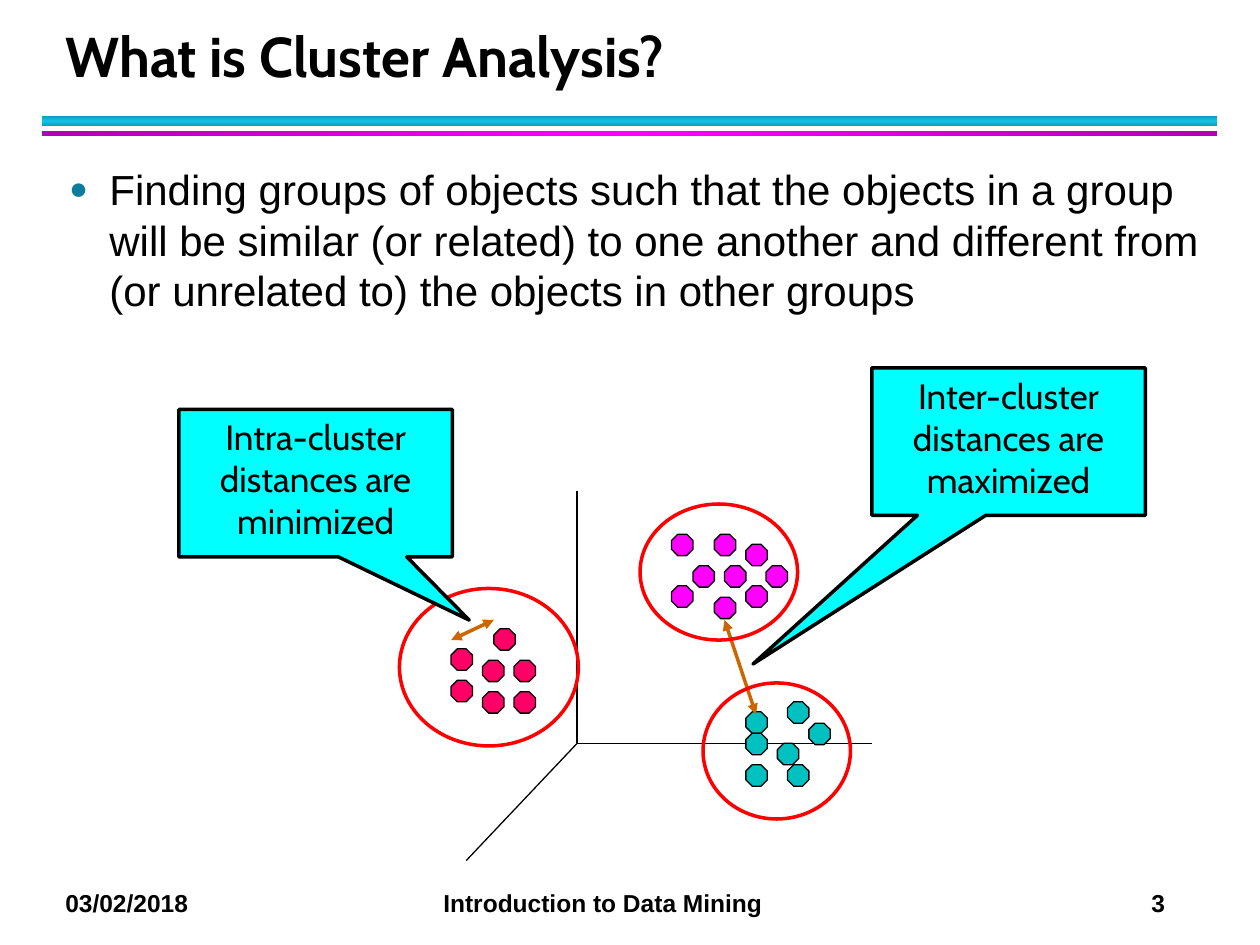
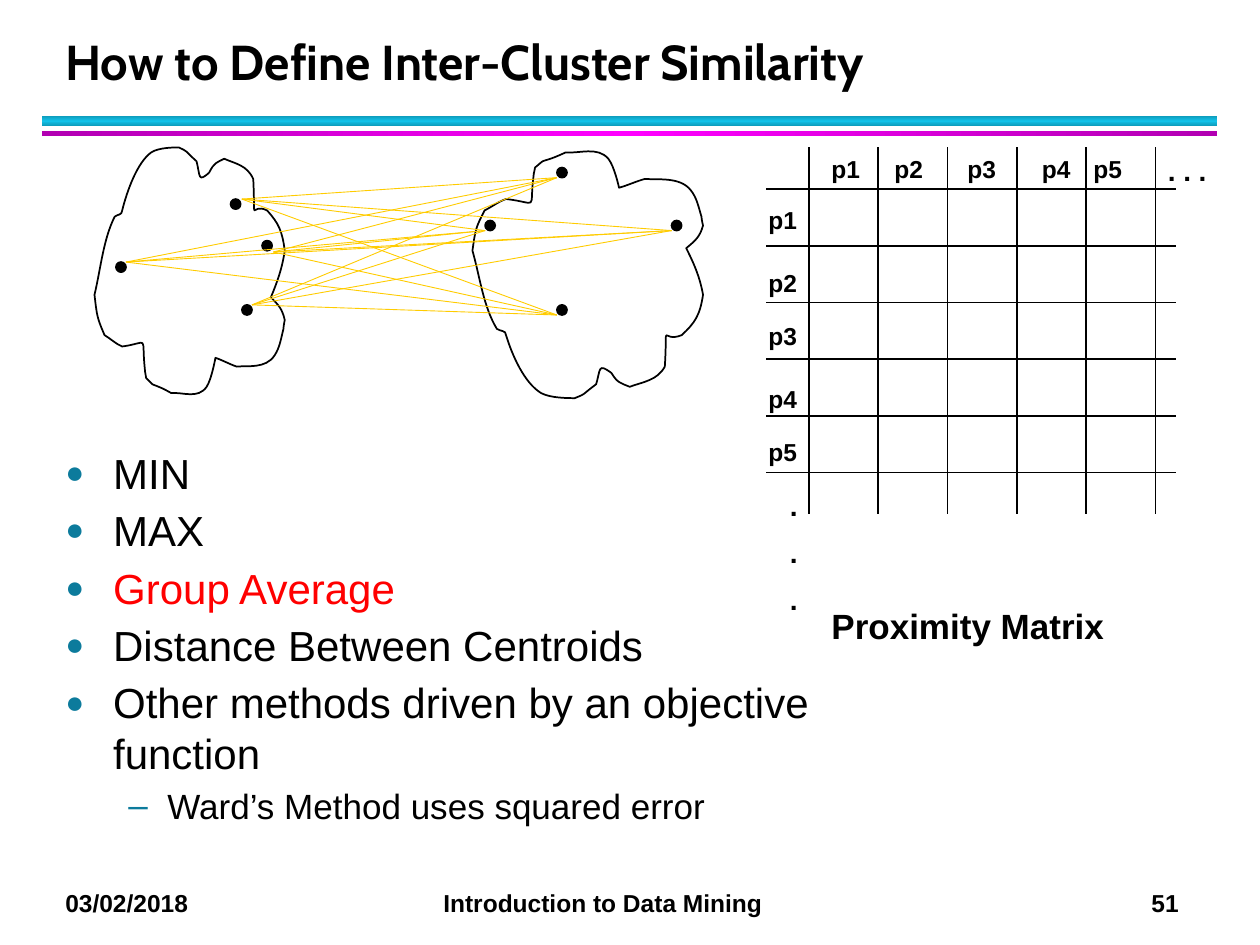
from copy import deepcopy
from itertools import product

from lxml import etree
from pptx import Presentation
from pptx import util as u
from pptx.dml.color import RGBColor
from pptx.enum import shapes, text
from pptx.oxml import ns

BLACK, RED, TEAL = "000000", "FF0000", "0C7B9C"
AQUA, ORANGE, YELLOW = "00FFFF", "CC6600", "FFCC00"
CYAN_BAND = ("0E9BBA", "12C2E9", "0E9BBA")
MAGENTA_BAND = ("B200B2", "FF00FF", "B200B2")
POINT_SIZE, DOT_SIZE = 0.17, 0.08

CLUSTERS = {
    "FF00FF": [(5.5, 4.49), (5.75, 4.49), (5.67, 4.24), (5.67, 4.74), (6.08, 4.49),
               (5.92, 4.32), (5.33, 4.24), (5.92, 4.65), (5.33, 4.65)],
    "FF0066": [(3.58, 5.15), (3.83, 5.24), (3.83, 5.49), (4.08, 5.24), (3.92, 4.99),
               (4.08, 5.49), (3.58, 5.4)],
    "00C0C0": [(5.92, 5.65), (6.42, 5.74), (6.17, 5.9), (5.92, 6.07), (6.25, 6.07),
               (5.92, 5.82), (6.25, 5.57)],
}
CLUSTER_RINGS = [(3.17, 4.67, 1.42, 1.25), (5.08, 4, 1.25, 1.08), (5.58, 5.42, 1.17, 1.08)]

CLOUD_CURVES = [
    ((0.82, 1.9), (0.8, 2.13), (0.75, 2.34)),
    ((0.77, 2.51), (0.77, 2.52), (0.83, 2.66)),
    ((0.88, 2.69), (0.92, 2.73), (0.97, 2.75)),
    ((1.19, 2.72), (1.12, 2.65), (1.15, 2.93)),
    ((1.15, 2.96), (1.16, 2.98), (1.16, 3)),
    ((1.23, 3.07), (1.19, 3.04), (1.26, 3.07)),
    ((1.29, 3.08), (1.36, 3.12), (1.36, 3.12)),
    ((1.45, 3.11), (1.57, 3.17), (1.64, 3.07)),
    ((1.68, 3.01), (1.71, 2.84), (1.71, 2.84)),
    ((1.77, 2.86), (1.82, 2.89), (1.88, 2.91)),
    ((1.96, 2.9), (2.11, 2.93), (2.18, 2.82)),
    ((2.22, 2.76), (2.23, 2.69), (2.25, 2.61)),
    ((2.25, 2.59), (2.26, 2.54), (2.26, 2.54)),
    ((2.24, 2.45), (2.21, 2.42), (2.15, 2.36)),
    ((2.2, 2.24), (2.24, 2.13), (2.26, 1.99)),
    ((2.24, 1.83), (2.21, 1.77), (2.12, 1.67)),
    ((1.98, 1.6), (2.03, 1.82), (2.01, 1.42)),
    ((1.96, 1.31), (1.87, 1.3), (1.78, 1.26)),
    ((1.72, 1.29), (1.7, 1.29), (1.66, 1.37)),
    ((1.57, 1.45), (1.59, 1.4), (1.56, 1.28)),
    ((1.45, 1.18), (1.5, 1.21), (1.42, 1.17)),
    ((1.38, 1.17), (1.26, 1.17), (1.2, 1.21)),
    ((1.09, 1.29), (1.01, 1.51), (0.97, 1.67)),
    ((0.97, 1.71), (0.93, 1.7), (0.91, 1.72)),
]
LEFT_DOTS = [(1.92, 2.42), (1.83, 1.58), (0.92, 2.08), (2.08, 1.91)]
RIGHT_DOTS = [(5.33, 1.75), (3.85, 1.75), (4.42, 2.42), (4.42, 1.33)]
LINK_STARTS = [(2, 2.42), (2.17, 2), (1, 2.08), (1.92, 1.58)]


def color(value):
    return RGBColor.from_string(value)


def mirrored(point):
    x, y = point
    return 3.75 + (x - 0.75) * 1.83 / 1.51, 4.33 - y


class Deck:
    """Holds the style of the deck and the slide being built."""

    def __init__(self):
        self.presentation = Presentation()
        self.presentation.slide_width = u.Inches(10)
        self.presentation.slide_height = u.Inches(7.5)
        self.slide = None

    def new_slide(self, title, number, title_size, title_height):
        self.slide = self.presentation.slides.add_slide(self.presentation.slide_layouts[6])
        self.band(0.92, 0.08, CYAN_BAND, 90)
        self.band(1.04, 0.04, MAGENTA_BAND, 0)
        footer = self.label(0.42, 7, 9.33, 0.34,
                            f"03/02/2018\tIntroduction to Data Mining\t{number}")
        tabs = etree.SubElement(footer.paragraphs[0]._p.get_or_add_pPr(), ns.qn("a:tabLst"))
        for stop in (3, 8.62):
            etree.SubElement(tabs, ns.qn("a:tab"), pos=str(u.Inches(stop)), algn="l")
        frame = self.label(0.42, 0.17, 9.06, title_height, title, title_size, "Cabin")
        frame.vertical_anchor = text.MSO_ANCHOR.BOTTOM
        frame.paragraphs[0].line_spacing = u.Pt(36)

    def band(self, top, height, colors, angle):
        shape = self.shape(shapes.MSO_SHAPE.RECTANGLE, 0.33, top, 9.33, height)
        shape.fill.gradient()
        shape.fill.gradient_angle = angle
        stop_list = shape.element.xpath(".//a:gsLst")[0]
        stop_list.append(deepcopy(stop_list[0]))
        for index, stop in enumerate(shape.fill.gradient_stops):
            stop.position = index / 2
            stop.color.rgb = color(colors[index])

    def paint(self, shape, fill, line, width):
        shape.shadow.inherit = False
        if fill:
            shape.fill.solid()
            shape.fill.fore_color.rgb = color(fill)
        else:
            shape.fill.background()
        if line:
            shape.line.color.rgb = color(line)
            shape.line.width = u.Pt(width)
        else:
            shape.line.fill.background()
        return shape

    def shape(self, kind, left, top, width, height, fill=None, line=None, line_width=1):
        shape = self.slide.shapes.add_shape(
            kind, *map(u.Inches, (left, top, width, height)))
        return self.paint(shape, fill, line, line_width)

    def curved_outline(self, curves):
        ends = [tuple(map(u.Inches, curve[-1])) for curve in curves]
        builder = self.slide.shapes.build_freeform(*ends[-1], scale=1.0)
        builder.add_line_segments(ends, close=True)
        shape = self.paint(builder.convert_to_shape(), None, BLACK, 1)
        for segment, curve in zip(shape.element.xpath(".//a:lnTo"), curves):
            bend = etree.Element(ns.qn("a:cubicBezTo"))
            for x, y in curve:
                etree.SubElement(bend, ns.qn("a:pt"), x=str(u.Inches(x) - shape.left),
                                 y=str(u.Inches(y) - shape.top))
            segment.getparent().replace(segment, bend)

    def line(self, start, end, stroke=BLACK, width=0.75, arrows=False):
        connector = self.slide.shapes.add_connector(
            shapes.MSO_CONNECTOR.STRAIGHT, *map(u.Inches, (*start, *end)))
        connector.line.color.rgb = color(stroke)
        connector.line.width = u.Pt(width)
        if arrows:
            for tag in ("a:headEnd", "a:tailEnd"):
                etree.SubElement(connector.line._get_or_add_ln(), ns.qn(tag), type="triangle")
        etree.SubElement(connector.element.spPr, ns.qn("a:effectLst"))

    def frame(self, left, top, width, height):
        box = self.slide.shapes.add_textbox(*map(u.Inches, (left, top, width, height)))
        box.text_frame.word_wrap = True
        return box.text_frame

    def run(self, paragraph, words, size, font="Arial", bold=False, ink=BLACK):
        run = paragraph.add_run()
        run.text = words
        run.font.size = u.Pt(size)
        run.font.name = font
        run.font.bold = bold
        run.font.color.rgb = color(ink)

    def label(self, left, top, width, height, words, size=14, font="Arial"):
        frame = self.frame(left, top, width, height)
        self.run(frame.paragraphs[0], words, size, font, bold=True)
        return frame

    def callout(self, left, top, words, tip):
        shape = self.shape(shapes.MSO_SHAPE.RECTANGULAR_CALLOUT, left, top, 2.17, 1.17,
                           AQUA, BLACK, 2)
        shape.adjustments[0], shape.adjustments[1] = tip
        shape.text_frame.word_wrap = True
        shape.text_frame.vertical_anchor = text.MSO_ANCHOR.TOP
        paragraph = shape.text_frame.paragraphs[0]
        paragraph.alignment = text.PP_ALIGN.CENTER
        self.run(paragraph, words, 20, "Cabin")

    def bullet(self, paragraph, words, indent, hanging, after=2, size=24, ink=BLACK, mark="●"):
        paragraph.space_before, paragraph.space_after = u.Pt(2), u.Pt(after)
        properties = paragraph._p.get_or_add_pPr()
        properties.set("marL", str(u.Inches(indent)))
        properties.set("indent", str(-u.Inches(hanging)))
        tint = etree.SubElement(properties, ns.qn("a:buClr"))
        etree.SubElement(tint, ns.qn("a:srgbClr"), val=TEAL)
        if mark == "●":
            etree.SubElement(properties, ns.qn("a:buSzPct"), val="75000")
        etree.SubElement(properties, ns.qn("a:buFont"), typeface="Arial")
        etree.SubElement(properties, ns.qn("a:buChar"), char=mark)
        self.run(paragraph, words, size, ink=ink)


def cluster_analysis(deck):
    deck.new_slide("What is Cluster Analysis?", 3, 32, 0.58)
    body = deck.frame(0.45, 1.25, 9.3, 1.42)
    deck.bullet(body.paragraphs[0],
                "Finding groups of objects such that the objects in a group will be similar "
                "(or related) to one another and different from (or unrelated to) the objects "
                "in other groups", 0.32, 0.32, after=4)
    origin = (4.58, 5.9)
    for start, end in (((4.58, 3.9), origin), (origin, (6.92, 5.9)), (origin, (3.7, 6.83))):
        deck.line(start, end)
    for fill, points in CLUSTERS.items():
        for left, top in points:
            deck.shape(shapes.MSO_SHAPE.OCTAGON, left, top, POINT_SIZE, POINT_SIZE,
                       fill, BLACK, 0.75)
    deck.line((6, 5.67), (5.75, 4.92), ORANGE, 2, arrows=True)
    deck.callout(6.92, 2.92, "Inter-cluster distances are maximized", (-0.935, 1.509))
    for ring in CLUSTER_RINGS:
        deck.shape(shapes.MSO_SHAPE.OVAL, *ring, line=RED, line_width=2)
    deck.line((3.58, 5.08), (3.92, 4.92), ORANGE, 2, arrows=True)
    deck.callout(1.42, 3.25, "Intra-cluster distances are minimized", (0.562, 0.929))


def proximity_matrix(deck):
    for index in range(6):
        x, y = 6.42 + 0.55 * index, 1.5 + 0.45 * index
        deck.line((x, 1.17), (x, 4.08), width=1)
        deck.line((6.08, y), (9.33, y), width=1)
    column_lefts = (6.5, 7, 7.58, 8.17, 8.58)
    row_tops = (1.58, 2.08, 2.5, 3, 3.42)
    for number, (left, top) in enumerate(zip(column_lefts, row_tops), 1):
        deck.label(left, 1.17, 0.58, 0.33, f"p{number}")
        deck.label(6, top, 0.58, 0.33, f"p{number}")
    deck.label(9.17, 1.17, 0.58, 0.37, ". . .", 16)
    dots = deck.label(6.17, 3.83, 0.58, 1.17, ".", 16)
    for _ in range(2):
        paragraph = dots.add_paragraph()
        paragraph.space_before = u.Pt(7.5)
        deck.run(paragraph, ".", 16, bold=True)


def inter_cluster_similarity(deck):
    deck.new_slide("How to Define Inter-Cluster Similarity", 51, 28, 0.6)
    proximity_matrix(deck)
    deck.curved_outline(CLOUD_CURVES)
    deck.curved_outline([tuple(map(mirrored, curve)) for curve in CLOUD_CURVES])
    for left, top in LEFT_DOTS + RIGHT_DOTS:
        deck.shape(shapes.MSO_SHAPE.OVAL, left, top, DOT_SIZE, DOT_SIZE, BLACK, BLACK)
    for start, (left, top) in product(LINK_STARTS, RIGHT_DOTS):
        deck.line(start, (left, top + DOT_SIZE), YELLOW, 0.5)
    deck.label(6.5, 4.75, 2.75, 0.43, "Proximity Matrix", 20)

    body = deck.frame(0.42, 3.5, 6.33, 3.42)
    methods = ("MIN", "MAX", "Group Average", "Distance Between Centroids",
               "Other methods driven by an objective function")
    for index, method in enumerate(methods):
        paragraph = body.add_paragraph() if index else body.paragraphs[0]
        deck.bullet(paragraph, method, 0.38, 0.38,
                    ink=RED if method == "Group Average" else BLACK)
    example = body.add_paragraph()
    example.level = 1
    deck.bullet(example, "Ward’s Method uses squared error", 0.81, 0.31, size=20, mark="–")


def main():
    deck = Deck()
    cluster_analysis(deck)
    inter_cluster_similarity(deck)
    deck.presentation.save("out.pptx")


if __name__ == "__main__":
    main()
